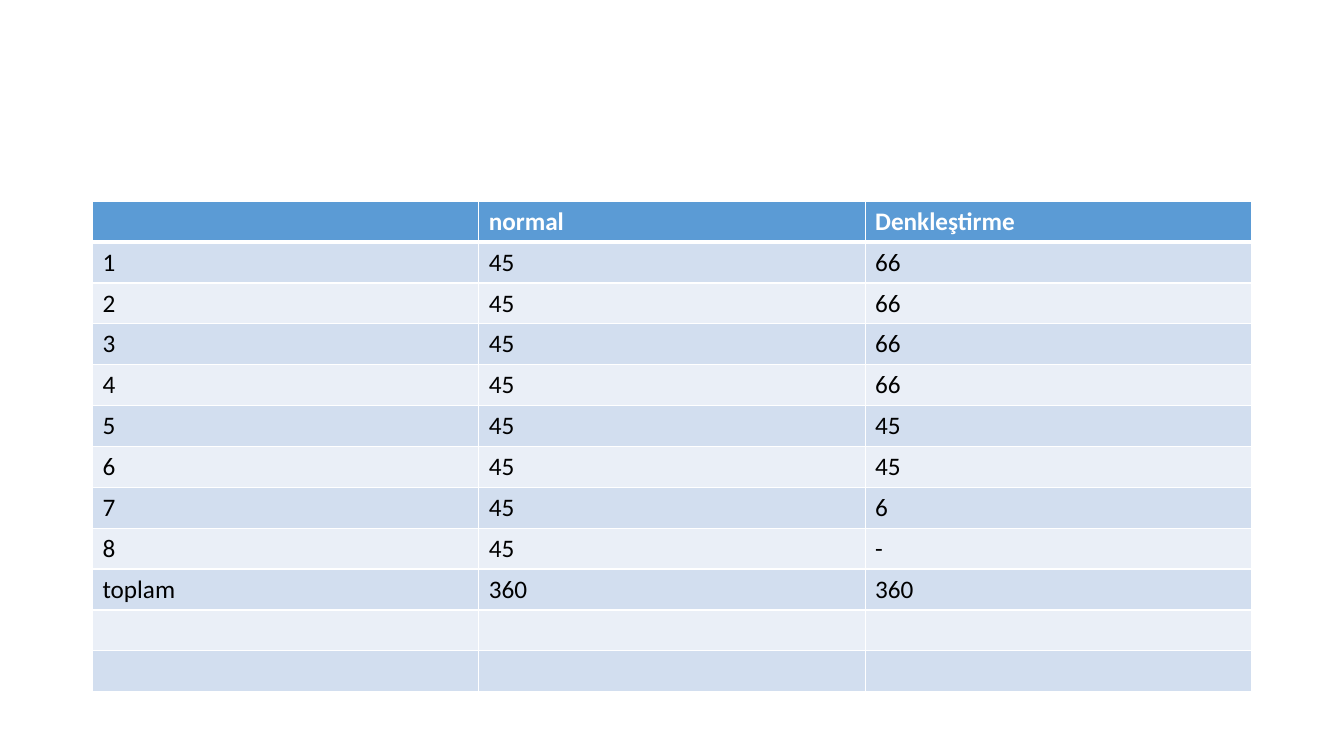
from dataclasses import dataclass

from lxml import etree
from pptx import Presentation
from pptx.dml.color import RGBColor
from pptx.oxml.ns import qn
from pptx.util import Cm, Pt


@dataclass(frozen=True)
class Theme:
    font: str = "Calibri"
    size: int = 18
    head: str = "5B9BD5"
    dark: str = "D2DEEF"
    light: str = "EAEFF7"
    white: str = "FFFFFF"
    black: str = "000000"
    thin: int = 1
    thick: int = 3


HEADER = ("", "normal", "Denkleştirme")
HOURS = (66, 66, 66, 66, 45, 45, 6, "-")
WEEKS = [(week, 45, hours) for week, hours in enumerate(HOURS, 1)]
TOTAL = ("toplam", 360, 360)
EMPTY = ("", "", "")
ROWS = [HEADER, *WEEKS, TOTAL, EMPTY, EMPTY]


def write(frame, text, font, size, color, bold=False):
    line = frame.paragraphs[0]
    line.font.size = Pt(size)
    if text == "":
        return
    run = line.add_run()
    run.text = str(text)
    run.font.name = font
    run.font.size = Pt(size)
    run.font.bold = bold
    run.font.color.rgb = RGBColor.from_string(color)


class Deck:
    def __init__(self, theme):
        self.theme = theme
        self.file = Presentation()
        self.file.slide_width = Cm(33.87)
        self.file.slide_height = Cm(19.05)
        self.slide = self.file.slides.add_slide(self.file.slide_layouts[6])

    def border(self, cell, side, width):
        props = cell._tc.get_or_add_tcPr()
        line = etree.SubElement(props, qn(f"a:ln{side}"), w=str(Pt(width)))
        fill = etree.SubElement(line, qn("a:solidFill"))
        etree.SubElement(fill, qn("a:srgbClr"), val=self.theme.white)

    def cell(self, cell, text, row):
        theme = self.theme
        head = row == 0
        widths = {
            "L": theme.thin,
            "R": theme.thin,
            "T": theme.thick if row == 1 else theme.thin,
            "B": theme.thick if head else theme.thin,
        }
        for side, width in widths.items():
            self.border(cell, side, width)
        band = theme.dark if row % 2 else theme.light
        cell.fill.solid()
        cell.fill.fore_color.rgb = RGBColor.from_string(theme.head if head else band)
        write(cell.text_frame, text, font=theme.font, size=theme.size,
              color=theme.white if head else theme.black, bold=head)

    def table(self, rows, left, top, width, height):
        table = self.slide.shapes.add_table(
            len(rows), len(rows[0]), left, top, width, height).table
        table.first_row = False
        table.horz_banding = False
        for row, texts in enumerate(rows):
            for col, text in enumerate(texts):
                self.cell(table.cell(row, col), text, row)


def main():
    deck = Deck(Theme())
    deck.table(ROWS, Cm(2.33), Cm(5.07), Cm(29.21), Cm(12.36))
    deck.file.save("out.pptx")


if __name__ == "__main__":
    main()
